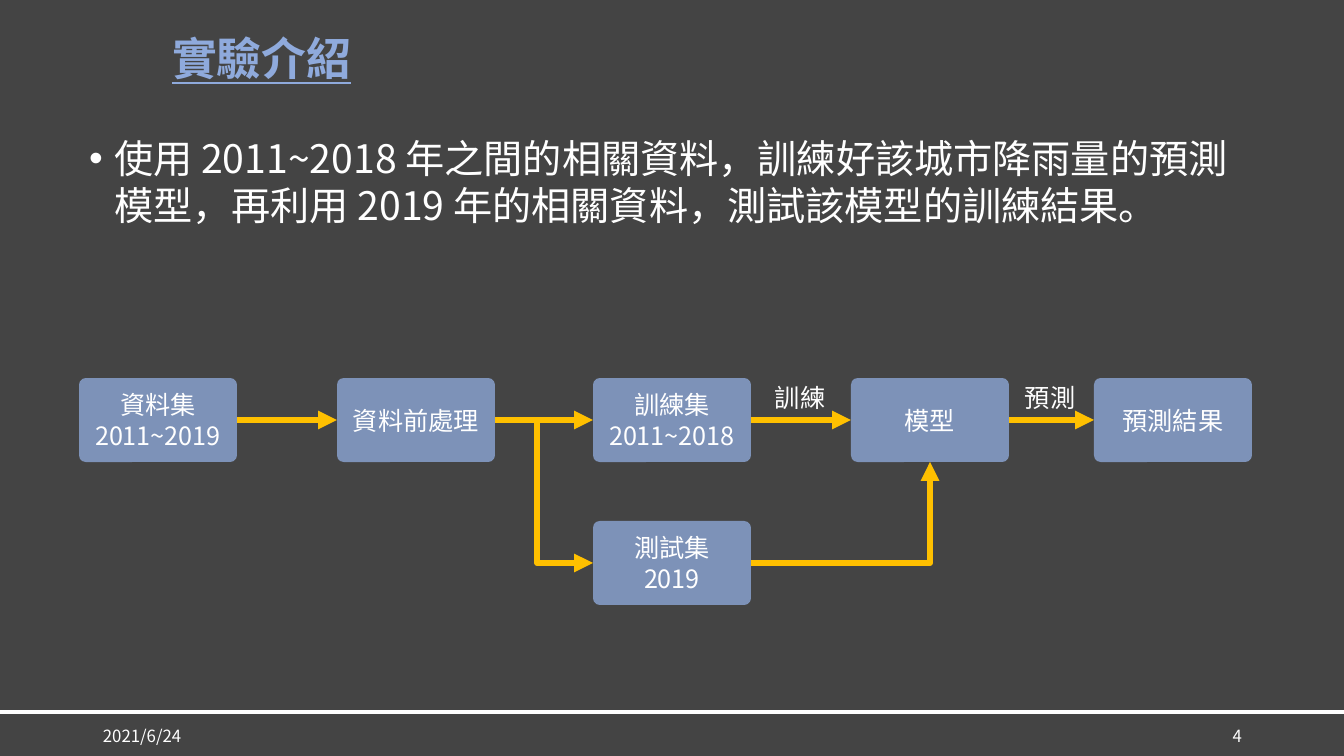
import pptx
import pptx.util
import pptx.dml.color
import pptx.enum.shapes
import pptx.enum.text
import pptx.oxml.ns
import lxml.etree

RGBColor = pptx.dml.color.RGBColor
Align = pptx.enum.text.PP_ALIGN
Anchor = pptx.enum.text.MSO_ANCHOR
Connector = pptx.enum.shapes.MSO_CONNECTOR
qn = pptx.oxml.ns.qn

BACKGROUND = RGBColor(0x44, 0x44, 0x44)
WHITE = RGBColor(0xFF, 0xFF, 0xFF)
TITLE_BLUE = RGBColor(0x8F, 0xAA, 0xDC)
BOX_BLUE = RGBColor(0x7D, 0x92, 0xB8)
ARROW_YELLOW = RGBColor(0xFF, 0xC0, 0x00)

TEXT_FONT = "Noto Sans CJK SC"
DIAGRAM_FONT = "Noto Sans CJK TC"
EMU_PER_PIXEL = 914400 / 100.8
BOX_WIDTH, BOX_HEIGHT = 158, 84
TOP, LEFT, BOTTOM, RIGHT = range(4)  # connection sites of a box


def px(length):
    return pptx.util.Emu(round(length * EMU_PER_PIXEL))


def add_xml(parent, tag, **attributes):
    return lxml.etree.SubElement(parent, qn(tag), attributes)


class SlideBuilder:
    def __init__(self, slide):
        self.slide = slide
        fill = slide.background.fill
        fill.solid()
        fill.fore_color.rgb = BACKGROUND

    def set_text(self, shape, text, size, font=TEXT_FONT, color=WHITE,
                 anchor=Anchor.TOP, paragraph_format=None, font_format=None):
        frame = shape.text_frame
        frame.word_wrap = True
        frame.auto_size = pptx.enum.text.MSO_AUTO_SIZE.NONE
        frame.vertical_anchor = anchor
        frame.text = text
        font_values = {"name": font, "size": pptx.util.Pt(size), **(font_format or {})}
        for paragraph in frame.paragraphs:
            for name, value in (paragraph_format or {}).items():
                setattr(paragraph, name, value)
            for run in paragraph.runs:
                run.font.color.rgb = color
                for name, value in font_values.items():
                    setattr(run.font, name, value)
                add_xml(run.font._element, "a:ea", typeface=font)

    def placeholder(self, index, left, top, width, height, text, size, **style):
        shape = self.slide.placeholders[index]
        bounds = {"left": left, "top": top, "width": width, "height": height}
        for name, value in bounds.items():
            setattr(shape, name, px(value))
        self.set_text(shape, text, size, **style)
        return shape

    def bullet(self, paragraph, indent):
        properties = paragraph._element.get_or_add_pPr()
        properties.set("marL", str(px(indent)))
        properties.set("indent", str(-px(indent)))
        add_xml(properties, "a:buFont", typeface="Arial")
        add_xml(properties, "a:buChar", char="•")

    def label(self, left, top, width, height, text, size, **style):
        shape = self.slide.shapes.add_textbox(px(left), px(top), px(width), px(height))
        self.set_text(shape, text, size, **style)

    def box(self, left, top, text):
        shape = self.slide.shapes.add_shape(
            pptx.enum.shapes.MSO_SHAPE.ROUNDED_RECTANGLE,
            px(left), px(top), px(BOX_WIDTH), px(BOX_HEIGHT))
        shape.adjustments[0] = 0.08
        shape.shadow.inherit = False
        shape.fill.solid()
        shape.fill.fore_color.rgb = BOX_BLUE
        shape.line.fill.background()
        self.set_text(shape, text, 18, DIAGRAM_FONT, anchor=Anchor.MIDDLE,
                      paragraph_format={"alignment": Align.CENTER})
        return shape

    def line(self, kind, start, end, color, weight):
        connector = self.slide.shapes.add_connector(
            kind, px(start[0]), px(start[1]), px(end[0]), px(end[1]))
        connector.line.color.rgb = color
        connector.line.width = pptx.util.Pt(weight)
        add_xml(connector._element.spPr, "a:effectLst")
        return connector

    def arrow(self, source, target, kind=Connector.STRAIGHT, end_site=LEFT):
        connector = self.line(kind, (0, 0), (0, 0), ARROW_YELLOW, 4.5)
        connector.begin_connect(source, RIGHT)
        connector.end_connect(target, end_site)
        add_xml(connector.get_or_add_ln(), "a:tailEnd", type="triangle")
        return connector._element.spPr.find(qn("a:prstGeom"))


presentation = pptx.Presentation()
presentation.slide_width = px(1344)
presentation.slide_height = px(756)
builder = SlideBuilder(presentation.slides.add_slide(presentation.slide_layouts[1]))

# Title and description
builder.placeholder(
    0, 162, 27, 1103, 69, "實驗介紹", 32, color=TITLE_BLUE, anchor=Anchor.MIDDLE,
    paragraph_format={"alignment": Align.LEFT, "line_spacing": 0.9},
    font_format={"bold": True, "underline": True})
body = builder.placeholder(
    1, 79, 129, 1186, 579,
    "使用 2011~2018 年之間的相關資料，訓練好該城市降雨量的預測模型，"
    "再利用 2019 年的相關資料，測試該模型的訓練結果。", 28,
    paragraph_format={"space_before": pptx.util.Pt(0), "space_after": pptx.util.Pt(18)})
builder.bullet(body.text_frame.paragraphs[0], 25)

# Flow chart boxes
MAIN_ROW, TEST_ROW = 378, 521
dataset = builder.box(79, MAIN_ROW, "資料集\n2011~2019")
preprocessing = builder.box(337, MAIN_ROW, "資料前處理")
training_set = builder.box(593, MAIN_ROW, "訓練集\n2011~2018")
test_set = builder.box(593, TEST_ROW, "測試集\n2019")
model = builder.box(851, MAIN_ROW, "模型")
prediction = builder.box(1094, MAIN_ROW, "預測結果")

# Arrows along the main row
main_row = [dataset, preprocessing, training_set, model, prediction]
for source, target in zip(main_row, main_row[1:]):
    builder.arrow(source, target)

# Bent arrows through the test set
branch = builder.arrow(preprocessing, test_set, Connector.ELBOW)
add_xml(branch.get_or_add_avLst(), "a:gd", name="adj1", fmla="val 43200")
to_model = builder.arrow(test_set, model, Connector.ELBOW, BOTTOM)
to_model.set("prst", "bentConnector2")

# Arrow labels
for left, text in [(765, "訓練"), (1015, "預測")]:
    builder.label(left, 377, 72, 40, text, 18, font=DIAGRAM_FONT)

# Footer
builder.line(Connector.STRAIGHT, (0, 712), (1344, 712), WHITE, 2.25)
for left, text, alignment in [(93, "2021/6/24", Align.LEFT), (1136, "4", Align.RIGHT)]:
    builder.label(left, 716, 116, 40, text, 12, anchor=Anchor.MIDDLE,
                  paragraph_format={"alignment": alignment})

presentation.save("out.pptx")
